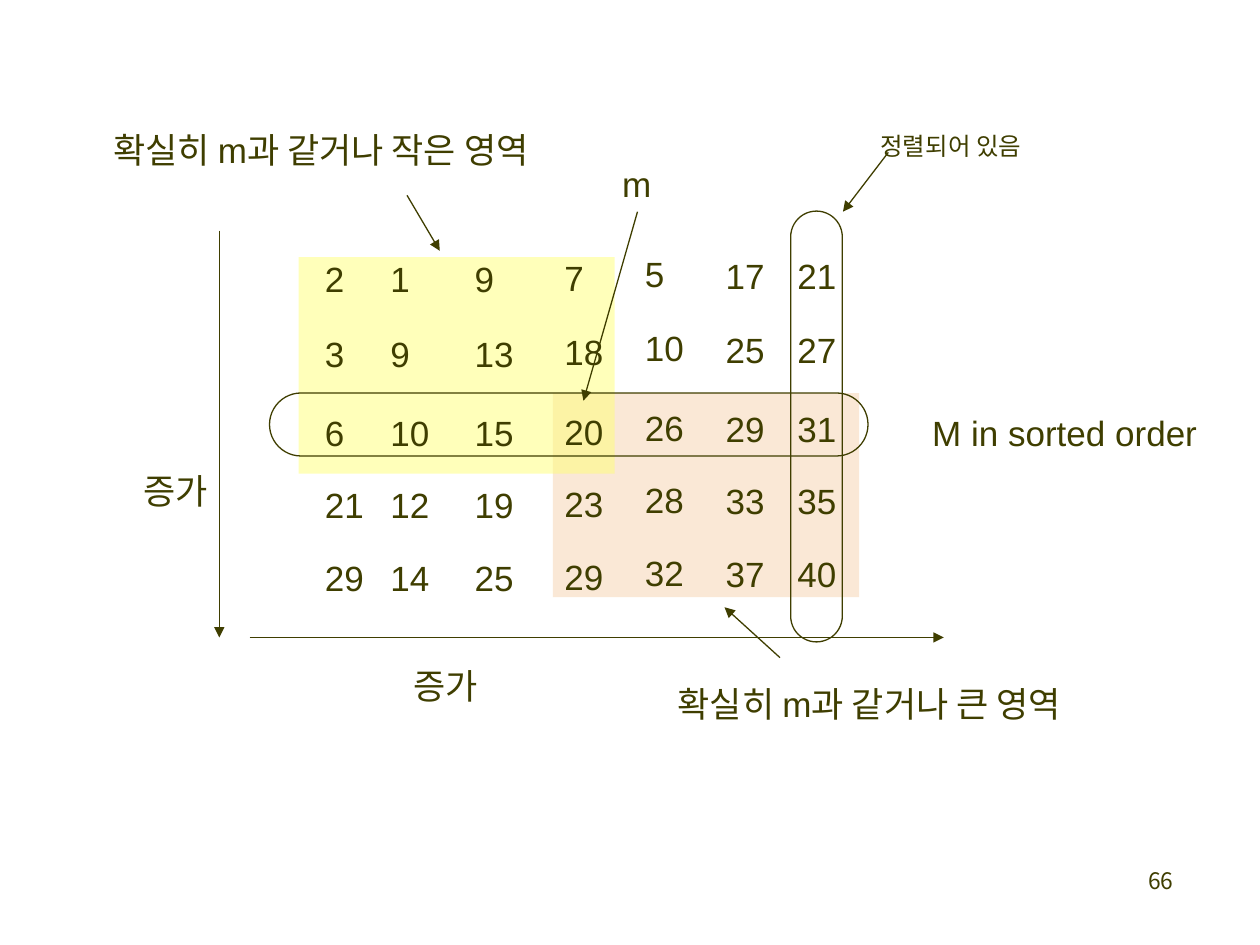
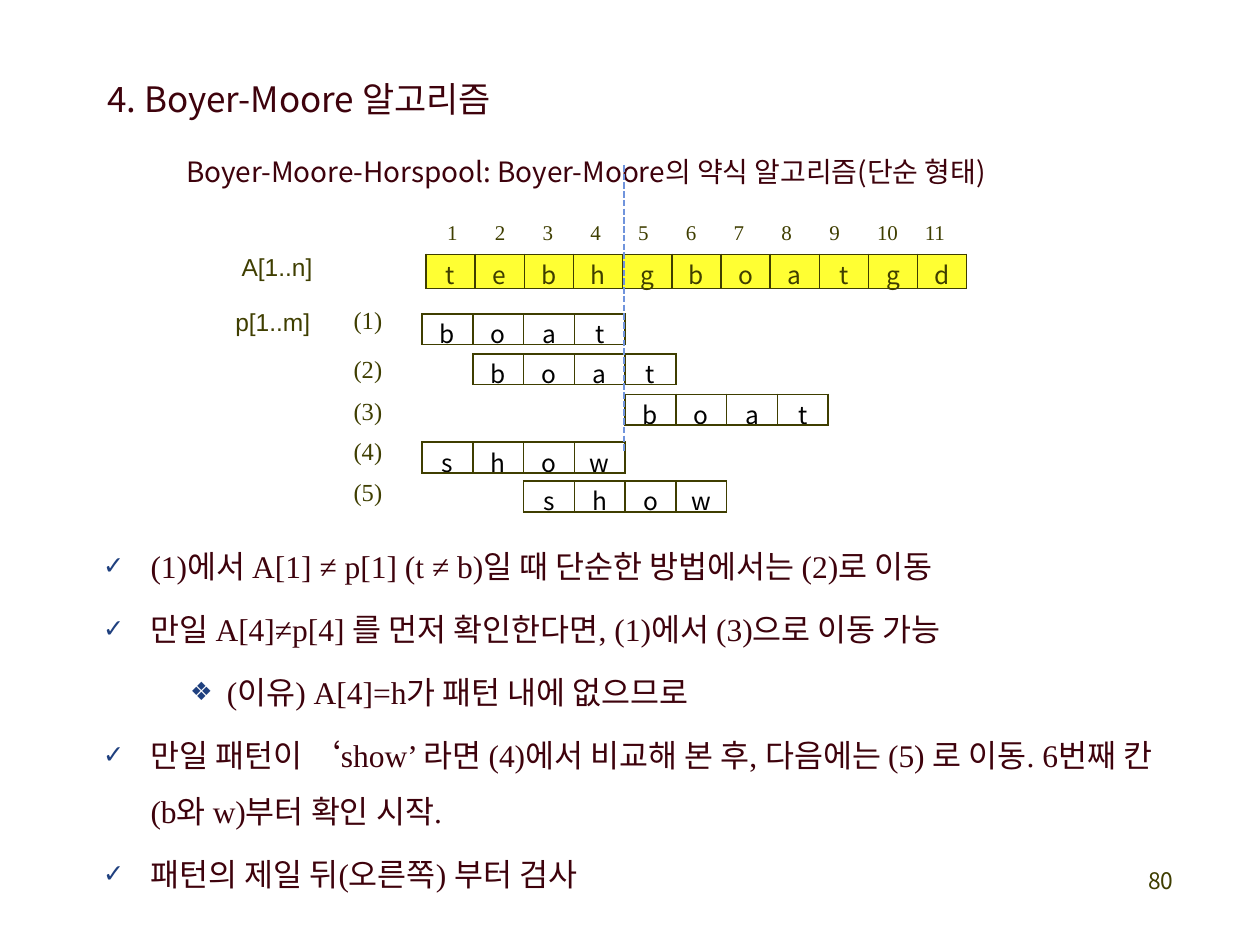
from lxml import etree
from pptx import Presentation
from pptx.dml.color import RGBColor
from pptx.enum.dml import MSO_LINE
from pptx.enum.shapes import MSO_CONNECTOR, MSO_SHAPE
from pptx.enum.text import MSO_ANCHOR, MSO_AUTO_SIZE, PP_ALIGN
from pptx.oxml.ns import qn
from pptx.util import Pt

RECT, CAPSULE = MSO_SHAPE.RECTANGLE, MSO_SHAPE.ROUNDED_RECTANGLE
STRAIGHT = MSO_CONNECTOR.STRAIGHT
DASH = MSO_LINE.SQUARE_DOT
LEFT, CENTER, RIGHT = PP_ALIGN.LEFT, PP_ALIGN.CENTER, PP_ALIGN.RIGHT
TOP, MIDDLE = MSO_ANCHOR.TOP, MSO_ANCHOR.MIDDLE
GROW, NO_FIT = MSO_AUTO_SIZE.SHAPE_TO_FIT_TEXT, MSO_AUTO_SIZE.NONE

# Shared look
OLIVE, MAROON, BLACK = "3F3E00", "3E020C", "000000"
NAVY, SKY = "1F407F", "7094DC"
PALE_YELLOW, PEACH, YELLOW = "FFFF70", "F5D0AB", "FFFF33"
SANS, SERIF, KOREAN = "Arial", "Times New Roman", "Noto Sans CJK KR"
LINE_26 = Pt(26)


def rgb(value):
    return RGBColor.from_string(value)


def add_xml(parent, tag, **attrs):
    return etree.SubElement(parent, qn(tag), attrs)


def style(p, size, font, color=OLIVE, align=LEFT, spacing=None, before=None):
    p.alignment = align
    if spacing is not None:
        p.line_spacing = spacing
    if before is not None:
        p.space_before = Pt(before)
    p.font.size, p.font.name = Pt(size), font
    p.font.bold = False
    p.font.color.rgb = rgb(color)
    add_xml(p._p.pPr.find(qn("a:defRPr")), "a:ea", typeface=KOREAN)


def place(shape, x, y, w, h):
    shape.left, shape.top, shape.width, shape.height = Pt(x), Pt(y), Pt(w), Pt(h)


def text(s, words, x, y, w, h, size, font, wrap=False, **look):
    tf = s.shapes.add_textbox(Pt(x), Pt(y), Pt(w), Pt(h)).text_frame
    tf.word_wrap, tf.auto_size = wrap, GROW
    p = tf.paragraphs[0]
    p.text = words
    style(p, size, font, **look)
    return p


def page_number(s, number):
    text(s, number, 527.8, 491.8, 149.8, 36, 13, KOREAN, wrap=True, align=RIGHT)


def region(s, x, y, w, h, color):
    """Translucent block without an outline."""
    shape = s.shapes.add_shape(RECT, Pt(x), Pt(y), Pt(w), Pt(h))
    shape.shadow.inherit = False
    shape.fill.solid()
    shape.fill.fore_color.rgb = rgb(color)
    shape.line.fill.background()
    add_xml(shape.fill._xPr.find(qn("a:solidFill"))[0], "a:alpha", val="48000")


def capsule(s, x, y, w, h):
    shape = s.shapes.add_shape(CAPSULE, Pt(x), Pt(y), Pt(w), Pt(h))
    shape.adjustments[0] = 0.5
    shape.shadow.inherit = False
    shape.fill.background()
    shape.line.color.rgb = rgb(OLIVE)
    shape.line.width = Pt(0.75)


def line(s, x1, y1, x2, y2, color=OLIVE, width=0.75, dash=None, arrow=True):
    c = s.shapes.add_connector(STRAIGHT, Pt(x1), Pt(y1), Pt(x2), Pt(y2))
    c.line.color.rgb = rgb(color)
    c.line.width = Pt(width)
    if dash is not None:
        c.line.dash_style = dash
    spPr = c._element.spPr
    if arrow:
        add_xml(spPr.find(qn("a:ln")), "a:tailEnd", type="triangle")
    add_xml(spPr, "a:effectLst")


def border(cell):
    tcPr = cell._tc.get_or_add_tcPr()
    for side in ("a:lnL", "a:lnR", "a:lnT", "a:lnB"):
        ln = add_xml(tcPr, side, w=str(Pt(1)))
        add_xml(add_xml(ln, "a:solidFill"), "a:srgbClr", val=OLIVE)


def letter_row(s, word, x, y, cell_w, h, color, fill=None):
    """One-row table with a letter in each cell."""
    table = s.shapes.add_table(1, len(word), Pt(x), Pt(y),
                               Pt(cell_w * len(word)), Pt(h)).table
    table.first_row = table.horz_banding = False
    table.rows[0].height = Pt(h)
    for i, letter in enumerate(word):
        table.columns[i].width = Pt(cell_w)
        cell = table.cell(0, i)
        border(cell)
        if fill:
            cell.fill.solid()
            cell.fill.fore_color.rgb = rgb(fill)
        else:
            cell.fill.background()
        cell.margin_left = cell.margin_right = cell.margin_top = Pt(0.7)
        cell.margin_bottom = 0
        cell.vertical_anchor = MIDDLE
        p = cell.text_frame.paragraphs[0]
        p.text = letter
        style(p, 14, KOREAN, color, CENTER)


def tab_stops(p, pitch, count):
    tabs = etree.Element(qn("a:tabLst"))
    for i in range(1, count + 1):
        add_xml(tabs, "a:tab", pos=str(Pt(pitch * i)), algn="l")
    p._p.pPr.find(qn("a:defRPr")).addprevious(tabs)


def bullet(p, char, margin, hanging):
    pPr = p._p.pPr
    pPr.set("marL", str(Pt(margin)))
    pPr.set("indent", str(-Pt(hanging)))
    color = etree.Element(qn("a:buClr"))
    add_xml(color, "a:srgbClr", val=NAVY)
    size = etree.Element(qn("a:buSzPct"), val="80000")
    mark = etree.Element(qn("a:buChar"), char=char)
    for part in (color, size, mark):
        pPr.find(qn("a:defRPr")).addprevious(part)


def title(s, words, x, y, w, h):
    place(s.shapes.title, x, y, w, h)
    tf = s.shapes.title.text_frame
    tf.text = words
    tf.word_wrap, tf.auto_size, tf.vertical_anchor = False, GROW, TOP
    style(tf.paragraphs[0], 20, KOREAN, MAROON, spacing=0.9, before=4)


def bullets(s, items, x, y, w, h):
    body = s.placeholders[1]
    place(body, x, y, w, h)
    tf = body.text_frame
    tf.word_wrap, tf.auto_size, tf.vertical_anchor = True, NO_FIT, TOP
    for i, (level, words) in enumerate(items):
        p = tf.paragraphs[0] if i == 0 else tf.add_paragraph()
        p.text = words
        style(p, 18, SERIF, MAROON, spacing=1.5, before=3.6)
        bullet(p, *(("✓", 27, 27), ("❖", 70.7, 21))[level])


def matrix_slide(prs):
    s = prs.slides.add_slide(prs.slide_layouts[6])
    region(s, 316, 224.6, 175, 116.6, PEACH)
    region(s, 170.6, 146.9, 180.7, 123.8, PALE_YELLOW)
    capsule(s, 154, 224.6, 342, 36)
    capsule(s, 451.8, 120.6, 29.5, 246.2)

    # Matrix, with the right-hand columns set slightly higher
    columns = [(178.6, 0), (216, 0), (264.2, 0), (315.4, -0.7),
               (361.4, -3), (407.5, -2.2), (448.6, -2.2)]
    rows = [(141.8, (2, 1, 9, 7, 5, 17, 21)),
            (184.3, (3, 9, 13, 18, 10, 25, 27)),
            (229.7, (6, 10, 15, 20, 26, 29, 31)),
            (270.7, (21, 12, 19, 23, 28, 33, 35)),
            (312.5, (29, 14, 25, 29, 32, 37, 40))]
    for y, values in rows:
        for (x, shift), value in zip(columns, values):
            text(s, str(value), x, y + shift, 26 if value < 10 else 37, 33.2,
                 20, SANS, spacing=LINE_26)

    # Labels
    for words, x, y, w, size, font in [
            ("M in sorted order", 525.6, 229.7, 167, 20, SANS),
            ("m", 348.5, 87.1, 31, 20, SANS),
            ("확실히 m과 같거나 큰 영역", 380.2, 384.5, 262.8, 20, SANS),
            ("확실히 m과 같거나 작은 영역", 57.6, 67.7, 283, 20, SANS),
            ("증가", 74.9, 262.8, 54.7, 20, SERIF),
            ("증가", 229, 374.4, 54.7, 20, SERIF),
            ("정렬되어 있음", 496, 61.9, 104.4, 14, KOREAN)]:
        text(s, words, x, y, w, 33.2, size, font, spacing=LINE_26)

    # Axes and pointers
    for ends in [(125.3, 131.8, 125.3, 364.3), (142.6, 364.3, 539.3, 364.3),
                 (364.3, 121, 333.4, 229), (445.7, 375.8, 414, 347),
                 (232.6, 111.6, 251.3, 143.3), (507.6, 87.1, 481.7, 121)]:
        line(s, *ends)
    page_number(s, "66")


def boyer_moore_slide(prs):
    s = prs.slides.add_slide(prs.slide_layouts[1])
    title(s, "4. Boyer-Moore 알고리즘", 54, 43.2, 244, 28.8)
    text(s, "Boyer-Moore-Horspool: Boyer-Moore의 약식 알고리즘(단순 형태)",
         99.4, 77.8, 493.2, 30.2, 16, KOREAN, color=MAROON,
         spacing=LINE_26, before=3.2)

    # Text array with its indexes
    small = {"spacing": 0.9, "before": 2.8}
    p = text(s, "\t".join(str(i) for i in range(1, 12)), 248.4, 123.8, 327, 20,
             12, SERIF, wrap=True, **small)
    tab_stops(p, 27.3, 10)
    text(s, "A[1..n]", 131, 142.6, 55.4, 22.3, 14, SANS, **small)
    text(s, "p[1..m]", 127.4, 173.5, 57.6, 22.3, 14, SANS, **small)
    letter_row(s, "tebhgboatgd", 243.4, 145.4, 28.1, 19.4, OLIVE, YELLOW)

    # Pattern positions, moved right by whole cells
    cell_w = 29
    steps = [("boat", 0, 179.3, 172.8), ("boat", 1, 202.3, 200.9),
             ("boat", 4, 225.4, 224.6), ("show", 0, 252.7, 247.7),
             ("show", 2, 275, 270.7)]
    for number, (word, shift, y, label_y) in enumerate(steps, 1):
        text(s, f"({number})", 195, label_y, 31, 22.3, 14, SERIF, **small)
        letter_row(s, word, 241.2 + cell_w * shift, y, cell_w, 17.3, BLACK)
    line(s, 356.4, 94.3, 356.4, 258.5, SKY, 1.25, DASH, arrow=False)

    bullets(s, [
        (0, "(1)에서 A[1] ≠ p[1] (t ≠ b)일 때 단순한 방법에서는 (2)로 이동"),
        (0, "만일 A[4]≠p[4] 를 먼저 확인한다면, (1)에서 (3)으로 이동 가능"),
        (1, "(이유) A[4]=h가 패턴 내에 없으므로"),
        (0, "만일 패턴이 ‘show’ 라면 (4)에서 비교해 본 후, 다음에는 (5) 로 이동. "
            "6번째 칸(b와 w)부터 확인 시작."),
        (0, "패턴의 제일 뒤(오른쪽) 부터 검사"),
    ], 51.8, 298, 617.8, 221)
    page_number(s, "80")


def main():
    prs = Presentation()
    prs.slide_width, prs.slide_height = Pt(720), Pt(540)
    matrix_slide(prs)
    boyer_moore_slide(prs)
    prs.save("out.pptx")


if __name__ == "__main__":
    main()
